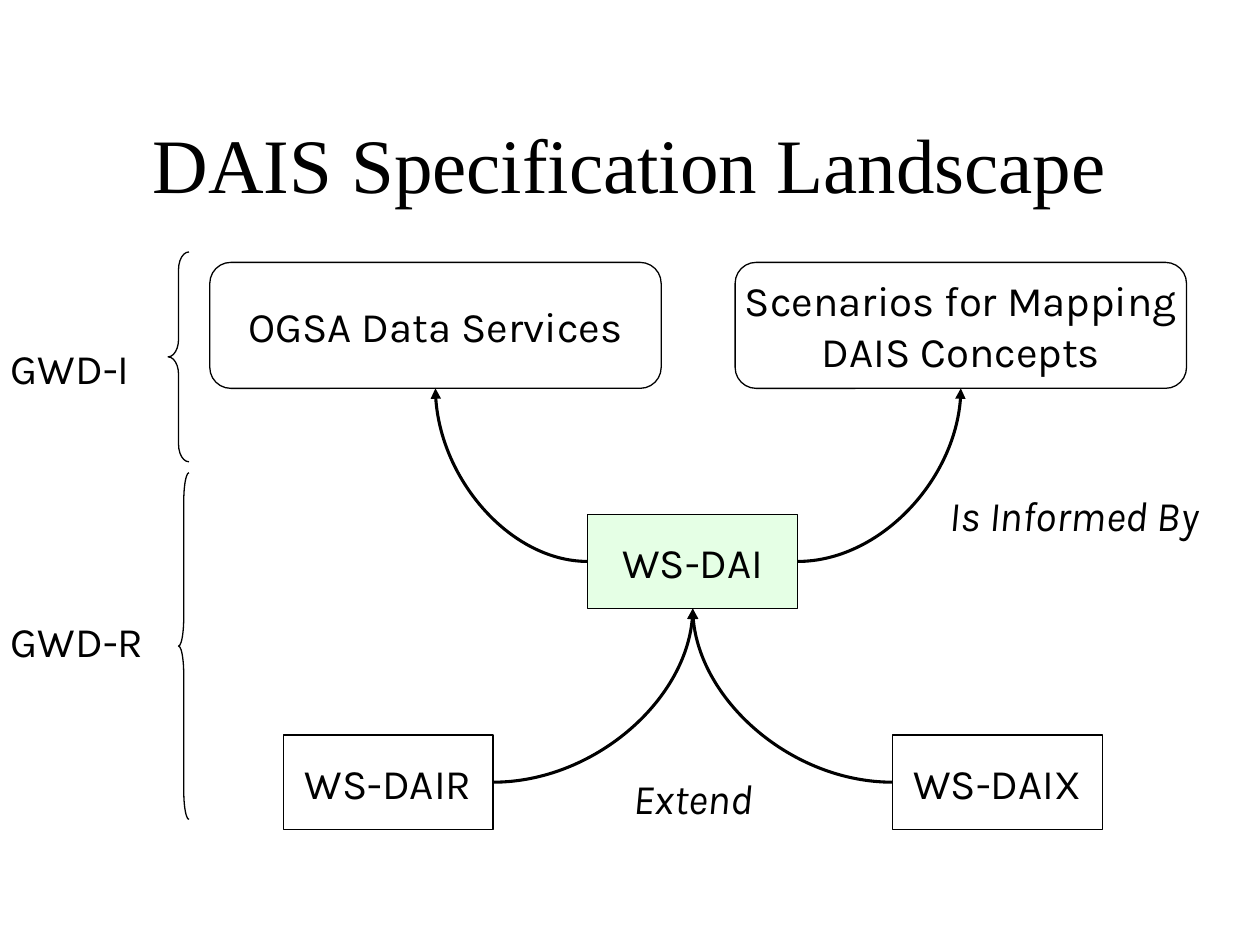
from lxml import etree
from pptx import Presentation
from pptx import util as u
from pptx.dml.color import RGBColor
from pptx.enum import shapes, text
from pptx.oxml import ns

BLACK = RGBColor(0x00, 0x00, 0x00)
PALE_GREEN = RGBColor(0xCC, 0xFF, 0xCC)
TOP, LEFT, BOTTOM, RIGHT = range(4)


class Diagram:
    body_font = "Karla"
    body_size = 24
    title_font = "Times New Roman"
    title_size = 44
    outline_width = 0.75
    arrow_width = 1.75
    label_height = 1.27

    def __init__(self, slide):
        self.slide = slide

    def set_words(self, shape, words, font=None, size=None, centred=True, italic=False, wrap=False):
        frame = shape.text_frame
        frame.text = words
        frame.word_wrap = wrap
        frame.vertical_anchor = text.MSO_ANCHOR.MIDDLE if centred else text.MSO_ANCHOR.TOP
        for paragraph in frame.paragraphs:
            paragraph.alignment = text.PP_ALIGN.CENTER if centred else text.PP_ALIGN.LEFT
            for run in paragraph.runs:
                run.font.name = font or self.body_font
                run.font.size = u.Pt(size or self.body_size)
                run.font.italic = italic
                run.font.color.rgb = BLACK

    def title(self, words, left, top, width, height):
        shape = self.slide.shapes.add_textbox(u.Cm(left), u.Cm(top), u.Cm(width), u.Cm(height))
        self.set_words(shape, words, self.title_font, self.title_size, wrap=True)

    def label(self, words, left, top, width, italic=False):
        shape = self.slide.shapes.add_textbox(
            u.Cm(left), u.Cm(top), u.Cm(width), u.Cm(self.label_height))
        self.set_words(shape, words, centred=False, italic=italic)
        shape.text_frame.auto_size = text.MSO_AUTO_SIZE.SHAPE_TO_FIT_TEXT

    def outline(self, kind, left, top, width, height):
        shape = self.slide.shapes.add_shape(
            kind, u.Cm(left), u.Cm(top), u.Cm(width), u.Cm(height))
        shape.shadow.inherit = False
        shape.fill.background()
        shape.line.color.rgb = BLACK
        shape.line.width = u.Pt(self.outline_width)
        return shape

    def document(self, words, left, top):
        shape = self.outline(shapes.MSO_SHAPE.ROUNDED_RECTANGLE, left, top, 9.1, 2.54)
        self.set_words(shape, words)
        return shape

    def specification(self, words, left, top, fill=None):
        shape = self.outline(shapes.MSO_SHAPE.RECTANGLE, left, top, 4.23, 1.9)
        if fill is not None:
            shape.fill.solid()
            shape.fill.fore_color.rgb = fill
            solid_fill = shape._element.spPr.find(ns.qn("a:solidFill"))
            etree.SubElement(solid_fill[0], ns.qn("a:alpha"), val="50000")
        self.set_words(shape, words)
        return shape

    def brace(self, left, top, width, height):
        shape = self.outline(shapes.MSO_SHAPE.LEFT_BRACE, left, top, width, height)
        shape.adjustments[0] = height / width / 12

    def arrow(self, source, source_side, target, target_side):
        connector = self.slide.shapes.add_connector(shapes.MSO_CONNECTOR.CURVE, 0, 0, 0, 0)
        connector.begin_connect(source, source_side)
        connector.end_connect(target, target_side)
        connector.line.color.rgb = BLACK
        connector.line.width = u.Pt(self.arrow_width)
        properties = connector._element.spPr
        properties.find(ns.qn("a:prstGeom")).set("prst", "curvedConnector2")
        etree.SubElement(properties.find(ns.qn("a:ln")), ns.qn("a:tailEnd"), type="triangle")
        etree.SubElement(properties, ns.qn("a:effectLst"))


def main():
    presentation = Presentation()
    presentation.slide_width = u.Cm(25.4)
    presentation.slide_height = u.Cm(19.05)
    diagram = Diagram(presentation.slides.add_slide(presentation.slide_layouts[6]))

    diagram.title("DAIS Specification Landscape", 1.9, 1.69, 21.59, 3.18)

    services = diagram.document("OGSA Data Services", 4.23, 5.29)
    scenarios = diagram.document("Scenarios for Mapping\nDAIS Concepts", 14.82, 5.29)
    core = diagram.specification("WS-DAI", 11.85, 10.37, PALE_GREEN)
    relational = diagram.specification("WS-DAIR", 5.71, 14.82)
    xml = diagram.specification("WS-DAIX", 17.99, 14.82)

    diagram.arrow(core, RIGHT, scenarios, BOTTOM)
    diagram.arrow(core, LEFT, services, BOTTOM)
    diagram.arrow(relational, RIGHT, core, BOTTOM)
    diagram.arrow(xml, LEFT, core, BOTTOM)
    diagram.label("Is Informed By", 18.9, 9.74, 5.99, italic=True)
    diagram.label("Extend", 12.52, 15.45, 3.02, italic=True)

    diagram.brace(3.39, 5.08, 0.42, 4.23)
    diagram.brace(3.6, 9.53, 0.21, 6.99)
    diagram.label("GWD-I", -0.03, 6.77, 3.07)
    diagram.label("GWD-R", -0.03, 12.28, 3.33)

    presentation.save("out.pptx")


if __name__ == "__main__":
    main()
